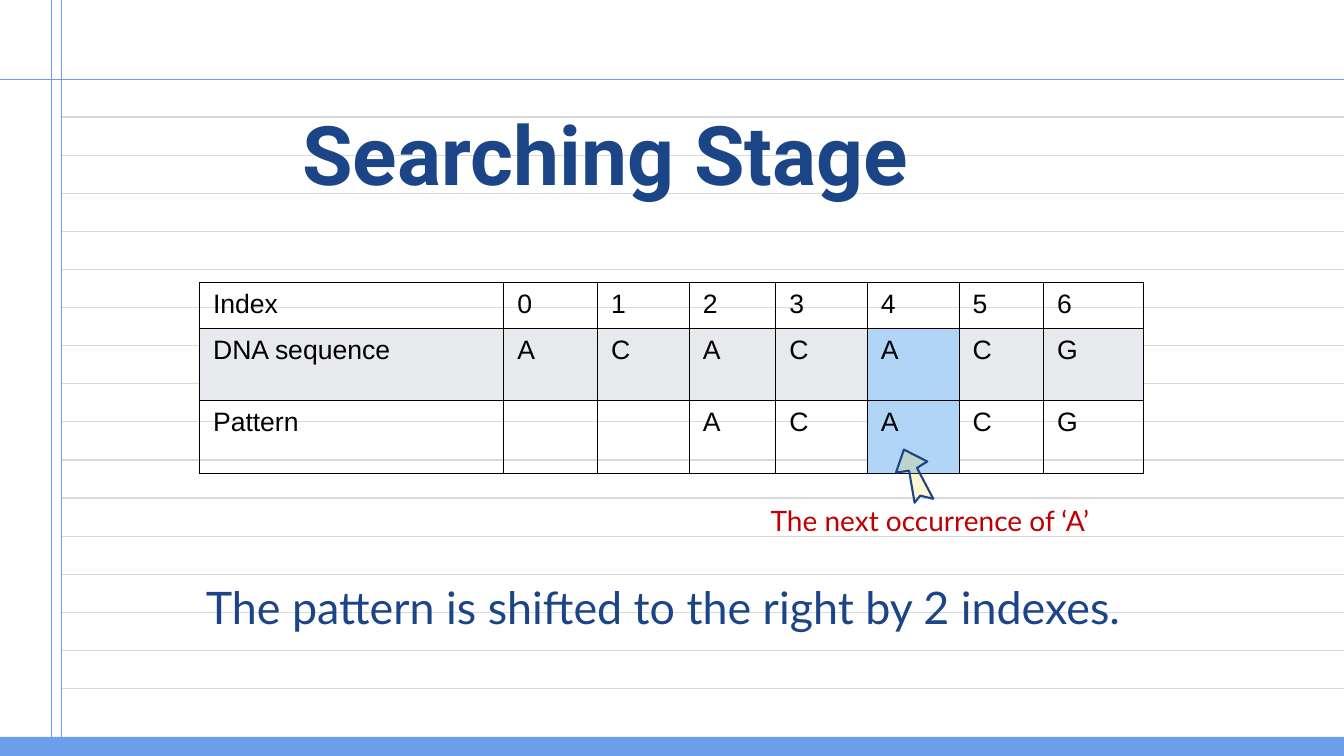
from lxml import etree
from pptx import Presentation
from pptx.dml.color import RGBColor
from pptx.enum.shapes import MSO_CONNECTOR, MSO_SHAPE
from pptx.enum.text import MSO_ANCHOR
from pptx.oxml.ns import qn
from pptx.util import Cm, Pt

STRAIGHT = MSO_CONNECTOR.STRAIGHT
RECTANGLE = MSO_SHAPE.RECTANGLE
TOP, BOTTOM = MSO_ANCHOR.TOP, MSO_ANCHOR.BOTTOM

# Content; all lengths are in centimetres
TITLE = "Searching Stage"
STATEMENT = "The pattern is shifted to the right by 2 indexes."
NOTE = "The next occurrence of ‘A’"
SEQUENCE = "ACACACG"
PATTERN = "ACACG"
SHIFT = 2
MATCH_INDEX = 4
ROWS = [
    ["Index", *map(str, range(len(SEQUENCE)))],
    ["DNA sequence", *SEQUENCE],
    ["Pattern", *[""] * SHIFT, *PATTERN],
]

NAVY, BLUE, RED, BLACK = "1C4587", "6D9EEB", "C00000", "000000"
RULE_GREY, ROW_GREY, MATCH_BLUE, YELLOW = "D9D9D9", "E7E9ED", "B0D5F7", "FFD400"

SLIDE_W, SLIDE_H = 33.87, 19.05
MARGIN_LINES = (1.3, 1.55)
HEADER_Y = 2.01
FIRST_RULE, RULE_STEP, RULE_COUNT = 2.95, 0.96, 16
BAND_TOP = 18.57
TABLE_LEFT, TABLE_TOP = 5.03, 7.13
COLUMN_WIDTHS = (7.67, 2.36, 2.31, 2.18, 2.31, 2.31, 2.13, 2.51)
ROW_HEIGHTS = (1.15, 1.82, 1.82)
INSET_X, INSET_Y = 0.34, 0.17
POINTER = [
    (22.78, 11.33), (23.37, 11.63), (23.11, 11.79), (23.52, 12.57),
    (23.19, 12.49), (23.05, 12.67), (22.91, 11.86), (22.58, 11.91),
]


def rgb(hex_colour):
    return RGBColor.from_string(hex_colour)


def add_line(slide, x1, y1, x2, y2, colour, width):
    line = slide.shapes.add_connector(STRAIGHT, Cm(x1), Cm(y1), Cm(x2), Cm(y2))
    line.line.color.rgb = rgb(colour)
    line.line.width = Pt(width)
    etree.SubElement(line._element.spPr, qn("a:effectLst"))


def add_run(paragraph, text, size, font, colour, bold=False):
    run = paragraph.add_run()
    run.text = text
    run.font.size = Pt(size)
    run.font.name = font
    run.font.bold = bold
    run.font.color.rgb = rgb(colour)


def add_text(slide, text, box, size, font, colour, bold=False,
             insets=(INSET_X, INSET_Y), anchor=TOP):
    frame = slide.shapes.add_textbox(*map(Cm, box)).text_frame
    frame.word_wrap = True
    frame.vertical_anchor = anchor
    frame.margin_left = frame.margin_right = Cm(insets[0])
    frame.margin_top = frame.margin_bottom = Cm(insets[1])
    add_run(frame.paragraphs[0], text, size, font, colour, bold)


def add_borders(cell):
    properties = cell._tc.get_or_add_tcPr()
    for side in ("L", "R", "T", "B"):
        border = etree.SubElement(properties, qn(f"a:ln{side}"), w=str(Pt(0.75)))
        fill = etree.SubElement(border, qn("a:solidFill"))
        etree.SubElement(fill, qn("a:srgbClr"), val=BLACK)


def add_paper(slide):
    """Draw the ruled notebook page and the band at its foot."""
    for i in range(RULE_COUNT):
        y = FIRST_RULE + i * RULE_STEP
        add_line(slide, MARGIN_LINES[1], y, SLIDE_W, y, RULE_GREY, 0.86)
    for x in MARGIN_LINES:
        add_line(slide, x, 0, x, SLIDE_H, BLUE, 0.62)
    add_line(slide, 0, HEADER_Y, SLIDE_W, HEADER_Y, BLUE, 0.75)
    band = slide.shapes.add_shape(
        RECTANGLE, 0, Cm(BAND_TOP), Cm(SLIDE_W), Cm(SLIDE_H - BAND_TOP))
    band.shadow.inherit = False
    band.fill.solid()
    band.fill.fore_color.rgb = rgb(BLUE)
    band.line.fill.background()


def cell_colour(row, column):
    if row > 0 and column == MATCH_INDEX + 1:
        return MATCH_BLUE
    return ROW_GREY if row == 1 else None


def add_alignment_table(slide):
    table = slide.shapes.add_table(
        len(ROWS), len(COLUMN_WIDTHS), Cm(TABLE_LEFT), Cm(TABLE_TOP),
        Cm(sum(COLUMN_WIDTHS)), Cm(sum(ROW_HEIGHTS))).table
    table.first_row = table.horz_banding = False
    for column, width in zip(table.columns, COLUMN_WIDTHS):
        column.width = Cm(width)
    for r, (labels, height) in enumerate(zip(ROWS, ROW_HEIGHTS)):
        table.rows[r].height = Cm(height)
        for c, label in enumerate(labels):
            cell = table.cell(r, c)
            cell.margin_left = cell.margin_right = Cm(INSET_X)
            cell.margin_top = cell.margin_bottom = Cm(INSET_Y)
            add_borders(cell)
            colour = cell_colour(r, c)
            if colour:
                cell.fill.solid()
                cell.fill.fore_color.rgb = rgb(colour)
            else:
                cell.fill.background()
            if label:
                add_run(cell.text_frame.paragraphs[0], label, 19, "Arial", BLACK)


def add_pointer(slide):
    start, *corners = [(Cm(x), Cm(y)) for x, y in POINTER]
    builder = slide.shapes.build_freeform(*start)
    builder.add_line_segments(corners, close=True)
    pointer = builder.convert_to_shape()
    pointer.shadow.inherit = False
    pointer.fill.solid()
    pointer.fill.fore_color.rgb = rgb(YELLOW)
    fill_colour = pointer._element.spPr.find(qn("a:solidFill"))[0]
    etree.SubElement(fill_colour, qn("a:alpha"), val="17000")
    pointer.line.color.rgb = rgb(NAVY)
    pointer.line.width = Pt(1.5)


def main():
    deck = Presentation()
    deck.slide_width, deck.slide_height = Cm(SLIDE_W), Cm(SLIDE_H)
    slide = deck.slides.add_slide(deck.slide_layouts[6])
    add_paper(slide)
    add_alignment_table(slide)
    add_text(slide, STATEMENT, (4.85, 14.45, 24.18, 1.7), 32, "Lato", NAVY)
    add_text(slide, TITLE, (7.62, 2.51, 18.64, 2.57), 58.7, "Roboto", NAVY,
             bold=True, insets=(0, 0), anchor=BOTTOM)
    add_text(slide, NOTE, (19.08, 12.52, 14.6, 1.7), 20, "Lato", RED)
    add_pointer(slide)
    deck.save("out.pptx")


if __name__ == "__main__":
    main()
